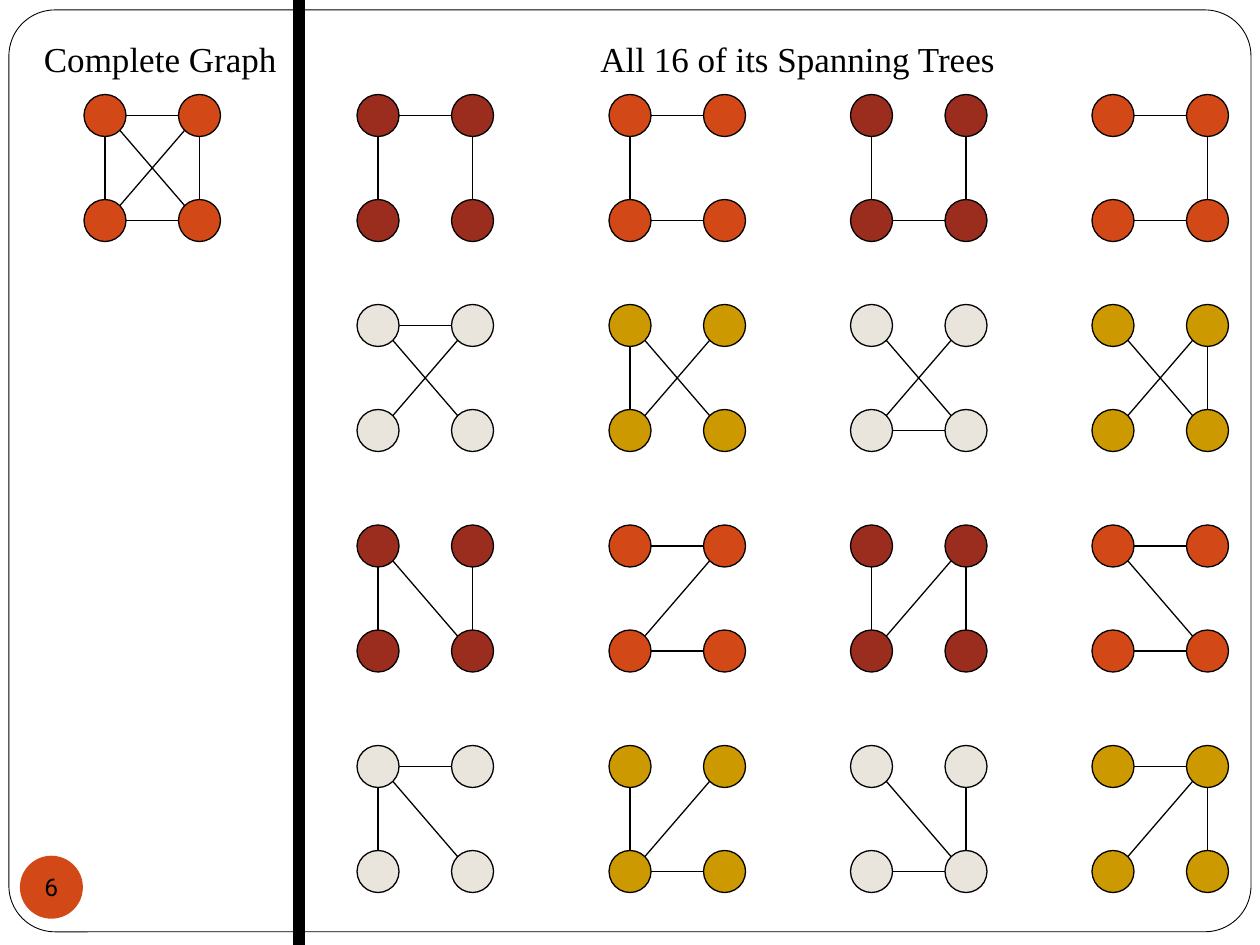
"""Draw a complete graph on four nodes beside all 16 of its spanning trees."""
import pptx
import pptx.dml.color
import pptx.enum.shapes
import pptx.enum.text
import pptx.oxml
import pptx.util

RGB = pptx.dml.color.RGBColor
SHAPE = pptx.enum.shapes.MSO_SHAPE
BLACK = RGB(0x00, 0x00, 0x00)
WHITE = RGB(0xFF, 0xFF, 0xFF)
ORANGE = RGB(0xD3, 0x48, 0x17)
RED = RGB(0x9B, 0x2D, 0x1F)
CREAM = RGB(0xE9, 0xE5, 0xDC)
GOLD = RGB(0xCC, 0x99, 0x00)

COLS, ROWS = 120, 90
UNIT = pptx.util.Inches(10) / COLS
NODE = 4
STEP_X, STEP_Y = 9, 10
DIAG = 0.71 * NODE / 2

CORNERS = [(0, 0), (STEP_X, 0), (0, STEP_Y), (STEP_X, STEP_Y)]
EDGES = {"T": (0, 1), "L": (0, 2), "B": (2, 3), "R": (1, 3), "U": (1, 2), "D": (0, 3)}

TREE_X = (34, 58, 81, 104)
TREE_ROWS = [
    (9, (RED, ORANGE), ("TLR", "TLB", "LBR", "TBR")),
    (29, (CREAM, GOLD), ("TUD", "LUD", "BUD", "RUD")),
    (50, (RED, ORANGE), ("LRD", "TBU", "LRU", "TBD")),
    (71, (CREAM, GOLD), ("TLD", "LBU", "BRD", "TRU")),
]


def grid(*cells):
    """Turn grid cells into slide lengths."""
    return [pptx.util.Emu(round(cell * UNIT)) for cell in cells]


def add_form(slide, kind, box, fill, weight=0.75):
    """Add a filled preset shape, outlined in black unless weight is 0."""
    form = slide.shapes.add_shape(kind, *grid(*box))
    form.shadow.inherit = False
    form.fill.solid()
    form.fill.fore_color.rgb = fill
    if weight:
        form.line.color.rgb = BLACK
        form.line.width = pptx.util.Pt(weight)
    else:
        form.line.fill.background()
    return form


def set_text(frame, text, size, font):
    """Write one line of black text."""
    frame.text = text
    style = frame.paragraphs[0].runs[0].font
    style.size = pptx.util.Pt(size)
    style.name = font
    style.color.rgb = BLACK


def add_title(slide, text, box):
    """Add a heading above a part of the slide."""
    frame = slide.shapes.add_textbox(*grid(*box)).text_frame
    frame.word_wrap = True
    set_text(frame, text, 20, "Times New Roman")


def add_edge(slide, start, end):
    """Join two node centres with a line trimmed at both rims."""
    gap_x, gap_y = end[0] - start[0], end[1] - start[1]
    trim = DIAG if gap_x and gap_y else NODE / 2
    sign_x, sign_y = [(gap > 0) - (gap < 0) for gap in (gap_x, gap_y)]
    ends = grid(start[0] + trim * sign_x, start[1] + trim * sign_y,
                end[0] - trim * sign_x, end[1] - trim * sign_y)
    line = slide.shapes.add_connector(pptx.enum.shapes.MSO_CONNECTOR.STRAIGHT, *ends)
    line.line.color.rgb = BLACK
    line.line.width = pptx.util.Pt(0.75)
    line._element.spPr.append(pptx.oxml.parse_xml(
        '<a:effectLst xmlns:a="http://schemas.openxmlformats.org/drawingml/2006/main"/>'))


def add_graph(slide, left, top, fill, edges):
    """Add four nodes and the edges named by letter."""
    for col, row in CORNERS:
        add_form(slide, SHAPE.OVAL, (left + col, top + row, NODE, NODE), fill)
    mids = [(left + col + NODE / 2, top + row + NODE / 2) for col, row in CORNERS]
    for edge in edges:
        start, end = EDGES[edge]
        add_edge(slide, mids[start], mids[end])


def add_badge(slide, text):
    """Add the round page number."""
    frame = add_form(slide, SHAPE.OVAL, (1.9, 81.5, 6, 6), ORANGE, 0).text_frame
    frame.margin_left = frame.margin_right = frame.margin_top = frame.margin_bottom = 0
    frame.word_wrap = False
    frame.vertical_anchor = pptx.enum.text.MSO_ANCHOR.MIDDLE
    set_text(frame, text, 14, "Roboto")
    frame.paragraphs[0].alignment = pptx.enum.text.PP_ALIGN.CENTER


def main():
    """Build and save the slide."""
    deck = pptx.Presentation()
    deck.slide_width, deck.slide_height = grid(COLS, ROWS)
    slide = deck.slides.add_slide(deck.slide_layouts[6])
    border = add_form(slide, SHAPE.ROUNDED_RECTANGLE, (0.85, 0.95, 118.3, 87.8), WHITE, 0.5)
    border.adjustments[0] = 0.05
    add_title(slide, "Complete Graph", (3, 3, 25, 5.2))
    add_title(slide, "All 16 of its Spanning Trees", (56, 3, 42, 5.2))
    add_graph(slide, 8, 9, ORANGE, EDGES)
    for top, fills, trees in TREE_ROWS:
        for idx, (left, edges) in enumerate(zip(TREE_X, trees)):
            add_graph(slide, left, top, fills[idx % 2], edges)
    add_form(slide, SHAPE.RECTANGLE, (28, 0, 1, ROWS), BLACK)
    add_badge(slide, "6")
    deck.save("out.pptx")


if __name__ == "__main__":
    main()
